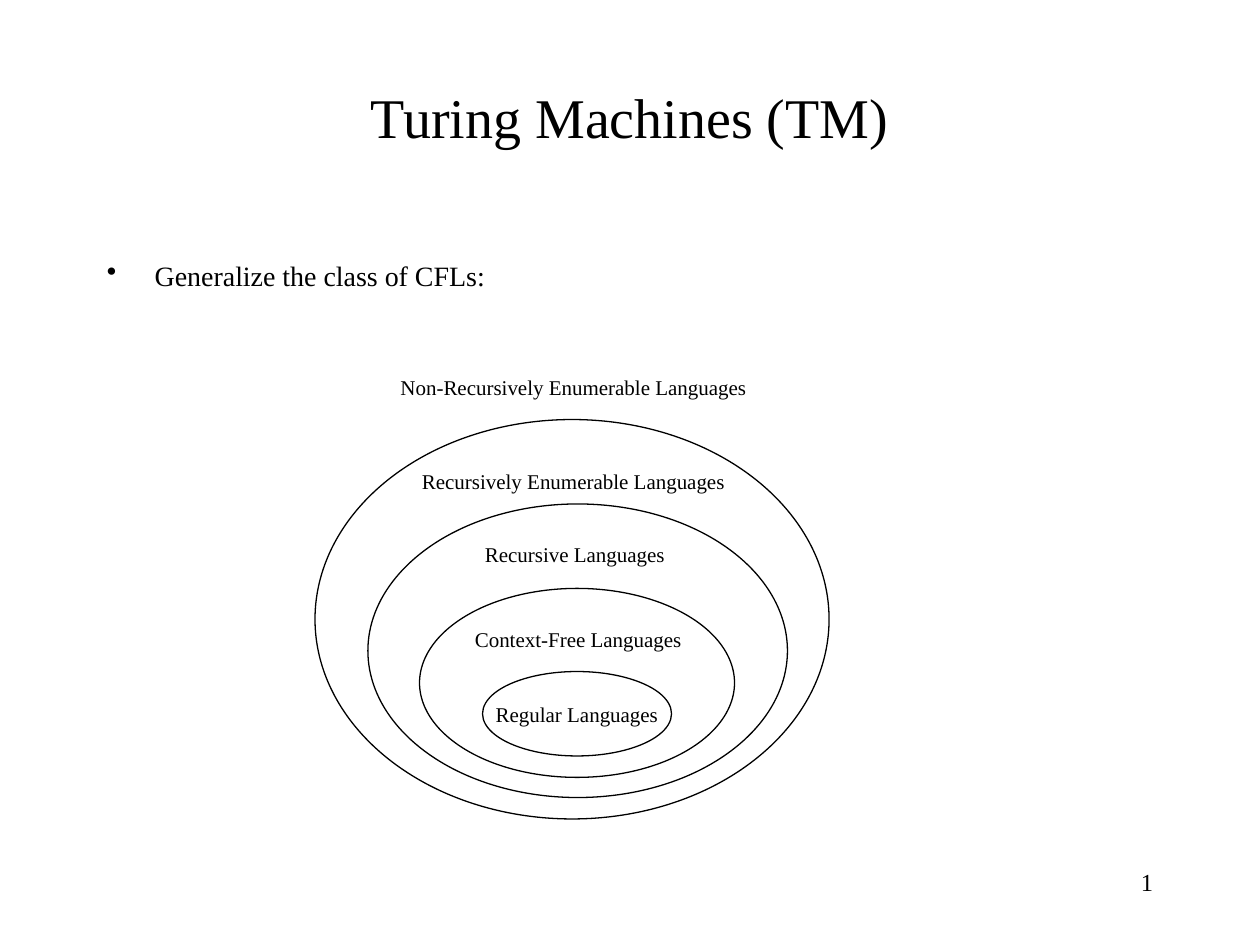
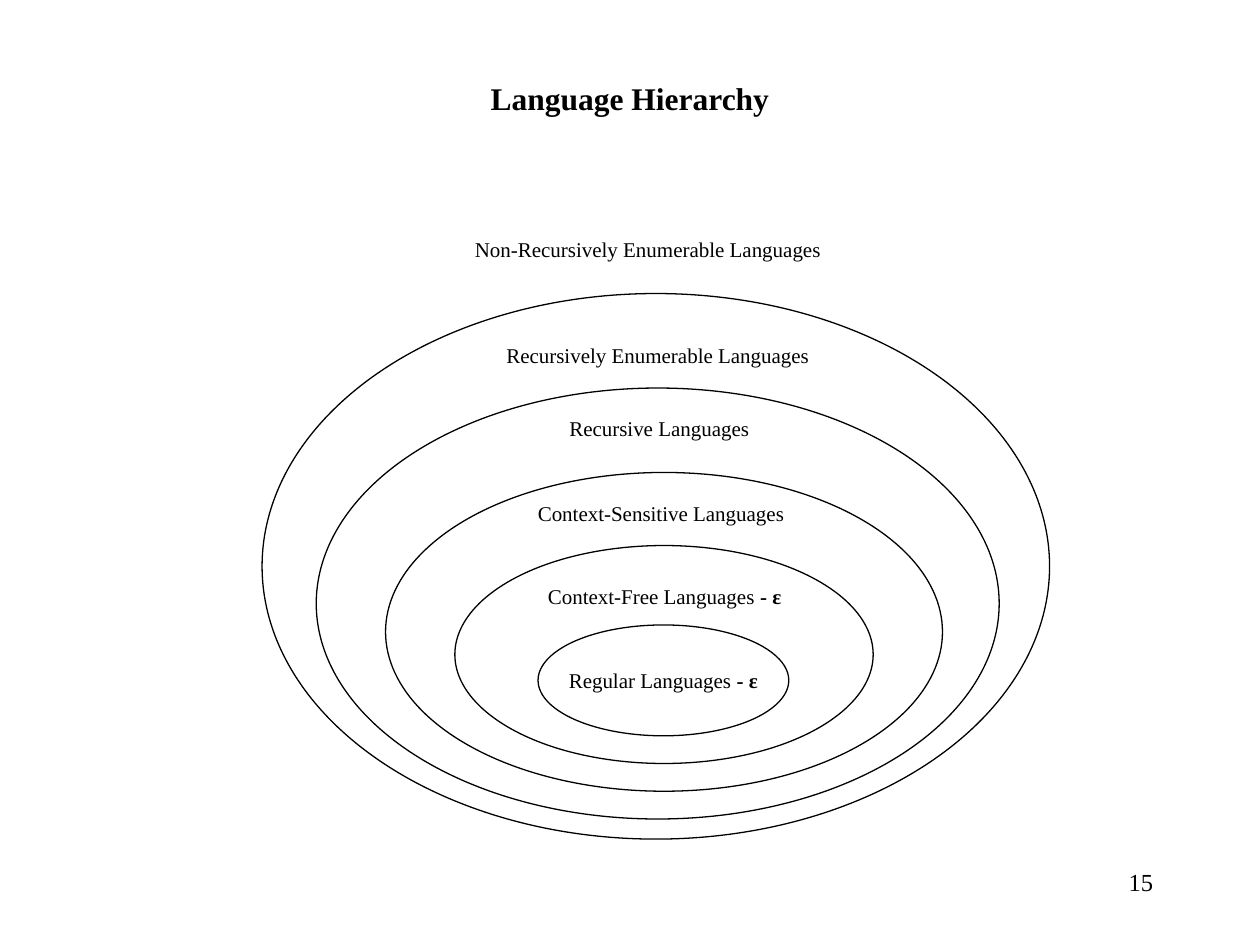
from lxml import etree
from pptx import Presentation
from pptx.dml.color import RGBColor
from pptx.enum.shapes import MSO_SHAPE
from pptx.enum.text import MSO_ANCHOR, MSO_AUTO_SIZE, PP_ALIGN
from pptx.oxml.ns import qn
from pptx.util import Inches, Pt

BLACK = RGBColor(0x00, 0x00, 0x00)
WHITE = RGBColor(0xFF, 0xFF, 0xFF)
FONT = "Times New Roman"
LABEL_SIZE = 12
LABEL_HEIGHT = 0.3
EPSILON = "- ε"


def write(box, spans, size, align=PP_ALIGN.LEFT, wrap=True, anchor=MSO_ANCHOR.TOP):
    """Fill the box with one paragraph of (text, bold) spans and return it."""
    frame = box.text_frame
    for name, value in {"word_wrap": wrap, "vertical_anchor": anchor}.items():
        setattr(frame, name, value)
    para = frame.paragraphs[0]
    para.alignment = align
    for text, bold in spans:
        span = para.add_run()
        span.text = text
        for name, value in {"name": FONT, "size": Pt(size), "bold": bold}.items():
            setattr(span.font, name, value)
        span.font.color.rgb = BLACK
    return para


def draw_hierarchy(page, ellipses, labels, core):
    """Group nested ellipses, innermost first, with their labels; core goes in the innermost."""
    group = page.shapes.add_group_shape()
    for index, bounds in enumerate(ellipses):
        ellipse = group.shapes.add_shape(MSO_SHAPE.OVAL, *map(Inches, bounds))
        ellipse.shadow.inherit = False
        ellipse.fill.background()
        ellipse.line.color.rgb = BLACK
        ellipse.line.width = Pt(0.75)
        if index == 0:
            write(ellipse, core, LABEL_SIZE, PP_ALIGN.CENTER, False, MSO_ANCHOR.MIDDLE)
    for left, top, width, spans in labels:
        label = group.shapes.add_textbox(*map(Inches, (left, top, width, LABEL_HEIGHT)))
        write(label, spans, LABEL_SIZE, wrap=False)
        label.text_frame.auto_size = MSO_AUTO_SIZE.SHAPE_TO_FIT_TEXT


deck = Presentation()
deck.slide_width, deck.slide_height = Inches(10), Inches(7.5)

# Shared by both slides: white background and page number
pages = []
for number in ("1", "15"):
    page = deck.slides.add_slide(deck.slide_layouts[6])
    page.background.fill.solid()
    page.background.fill.fore_color.rgb = WHITE
    box = page.shapes.add_textbox(Inches(7.17), Inches(6.83), Inches(2.08), Inches(0.5))
    write(box, [(number, False)], 14, PP_ALIGN.RIGHT)
    pages.append(page)
machines, hierarchy = pages

# Slide 1: Turing machines
title = machines.shapes.add_textbox(Inches(0.75), Inches(0.42), Inches(8.5), Inches(1))
write(title, [("Turing Machines (TM)", False)], 32, PP_ALIGN.CENTER, anchor=MSO_ANCHOR.MIDDLE)

body = machines.shapes.add_textbox(Inches(0.75), Inches(2), Inches(8.5), Inches(5.17))
para = write(body, [("Generalize the class of CFLs:", False)], 16)
para.space_before = Pt(3.2)
properties = para._p.get_or_add_pPr()
properties.set("marL", str(Inches(0.38)))
properties.set("indent", str(-Inches(0.38)))
etree.SubElement(properties, qn("a:buChar")).set("char", "•")

draw_hierarchy(
    machines,
    ellipses=[
        (3.83, 5.33, 1.5, 0.67),
        (3.33, 4.67, 2.5, 1.5),
        (2.92, 4, 3.33, 2.33),
        (2.5, 3.33, 4.08, 3.17),
    ],
    labels=[
        (3.67, 4.92, 1.85, [("Context-Free Languages", False)]),
        (3.75, 4.25, 1.64, [("Recursive Languages", False)]),
        (3.25, 3.67, 2.62, [("Recursively Enumerable Languages", False)]),
        (3.08, 2.92, 2.96, [("Non-Recursively Enumerable Languages", False)]),
    ],
    core=[("Regular Languages", False)],
)

# Slide 2: language hierarchy
heading = hierarchy.shapes.add_textbox(Inches(0.75), Inches(0.58), Inches(8.5), Inches(6.58))
para = write(heading, [("Language Hierarchy", True)], 18, PP_ALIGN.CENTER)
para.space_before = Pt(3.6)

draw_hierarchy(
    hierarchy,
    ellipses=[
        (4.27, 4.96, 1.99, 0.88),
        (3.61, 4.33, 3.32, 1.73),
        (3.06, 3.75, 4.42, 2.53),
        (2.51, 3.08, 5.42, 3.42),
        (2.08, 2.33, 6.25, 4.33),
    ],
    labels=[
        (4.25, 4.58, 2.06, [("Context-Free Languages ", False), (EPSILON, True)]),
        (4.17, 3.92, 2.26, [("Context-Sensitive Languages", False)]),
        (4.42, 3.25, 1.64, [("Recursive Languages", False)]),
        (3.92, 2.67, 2.62, [("Recursively Enumerable Languages", False)]),
        (3.67, 1.83, 2.96, [("Non-Recursively Enumerable Languages", False)]),
    ],
    core=[("Regular Languages ", False), (EPSILON, True)],
)

deck.save("out.pptx")
